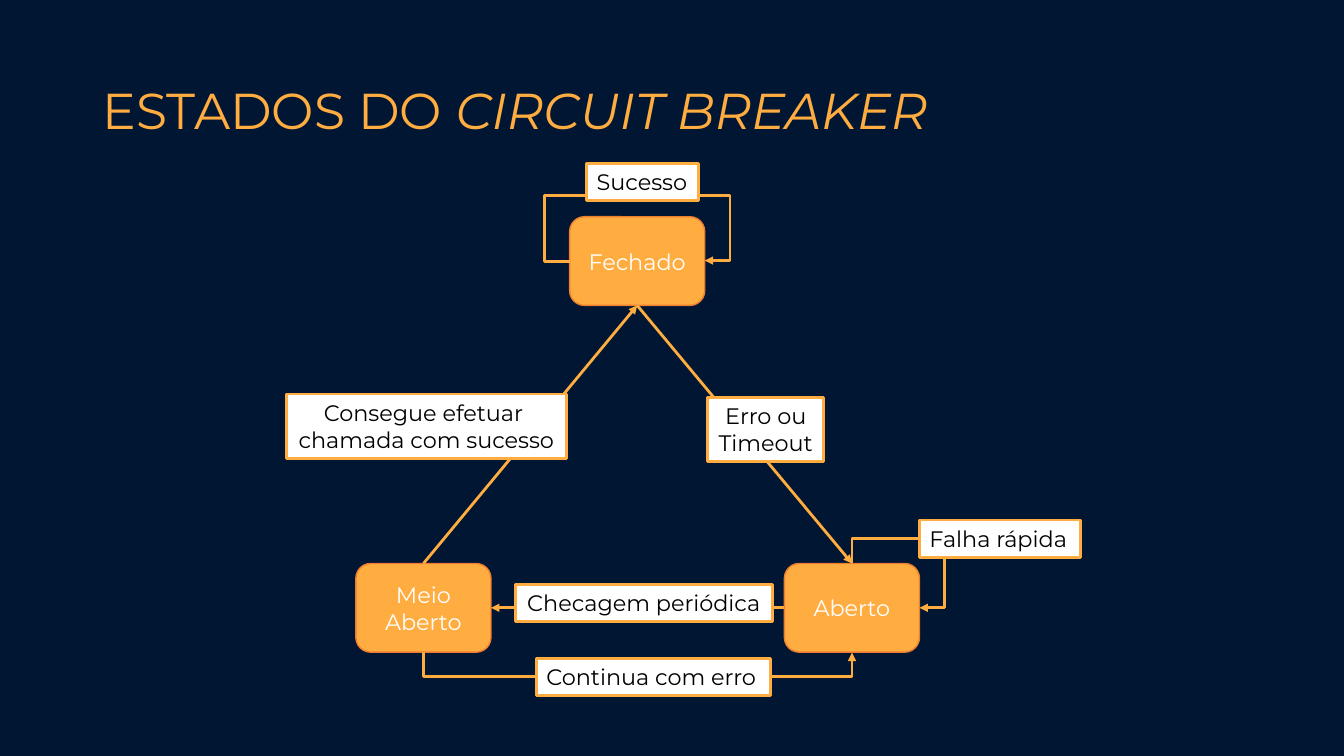
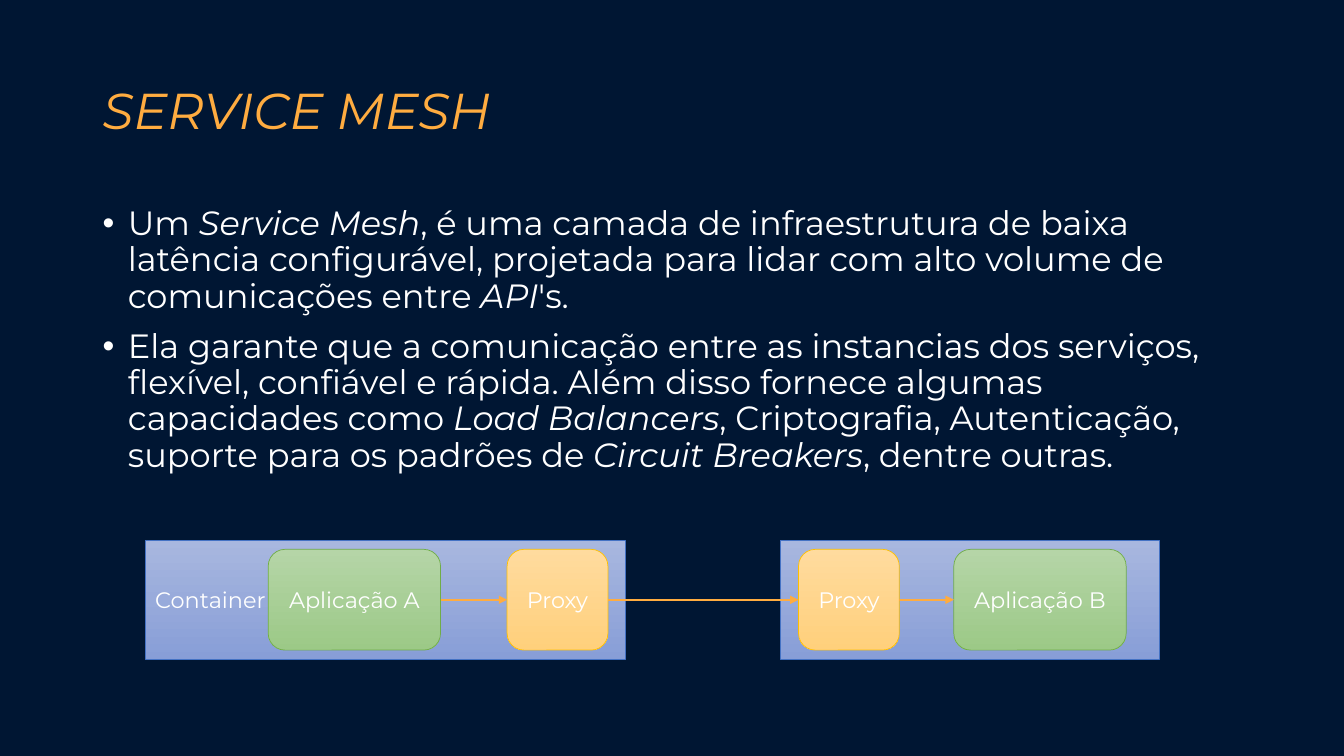
from lxml import etree
from pptx import Presentation
from pptx.dml.color import RGBColor
from pptx.enum.shapes import MSO_CONNECTOR, MSO_SHAPE
from pptx.enum.text import MSO_ANCHOR, MSO_AUTO_SIZE, PP_ALIGN
from pptx.oxml.ns import qn
from pptx.util import Pt

PX = 9144  # 100 px to the inch
FONT = "Montserrat"
COLORS = {
    "back": "001633", "amber": "FFAC40", "rust": "ED7D31",
    "white": "FFFFFF", "black": "000000",
}
# top of gradient, foot of gradient, outline
TINTS = {
    "blue": ("A8B7DF", "889ED7", "4472C4"),
    "green": ("B5D5A7", "9CC987", "70AD47"),
    "gold": ("FFDB9E", "FFD07C", "FFC000"),
}
TOP, LEFT, BOTTOM, RIGHT = range(4)  # connection sites of a box


def rgb(code):
    return RGBColor.from_string(code)


def place(left, top, width, height):
    return [side * PX for side in (left, top, width, height)]


def style(par, size, color):
    for run in par.runs:
        run.font.name = FONT
        run.font.size = Pt(size)
        run.font.color.rgb = rgb(COLORS[color])


def mark(par, text):
    """Write text in which asterisks enclose the italic parts."""
    for i, part in enumerate(text.split("*")):
        if part:
            run = par.add_run()
            run.text = part
            run.font.italic = i % 2 == 1


def edge(shape, code, width):
    shape.line.color.rgb = rgb(code)
    shape.line.width = Pt(width)


def add_slide(deck, title):
    slide = deck.slides.add_slide(deck.slide_layouts[6])
    slide.background.fill.solid()
    slide.background.fill.fore_color.rgb = rgb(COLORS["back"])
    frame = slide.shapes.add_textbox(*place(92, 40, 1150, 145)).text_frame
    frame.word_wrap = True
    frame.vertical_anchor = MSO_ANCHOR.MIDDLE
    par = frame.paragraphs[0]
    par.line_spacing = 0.9
    mark(par, title)
    style(par, 36, "amber")
    return slide


def add_list(slide, box, items):
    frame = slide.shapes.add_textbox(*place(*box)).text_frame
    frame.word_wrap = True
    for i, item in enumerate(items):
        par = frame.add_paragraph() if i else frame.paragraphs[0]
        mark(par, item)
        style(par, 24, "white")
        par.line_spacing = 0.9
        par.space_before = Pt(10)
        props = par._p.get_or_add_pPr()
        props.set("marL", str(25 * PX))
        props.set("indent", str(-25 * PX))
        etree.SubElement(props, qn("a:buFont"), typeface="Arial")
        etree.SubElement(props, qn("a:buChar"), char="•")


def add_box(slide, kind, box, text, align=PP_ALIGN.CENTER):
    shape = slide.shapes.add_shape(kind, *place(*box))
    shape.shadow.inherit = False
    frame = shape.text_frame
    frame.vertical_anchor = MSO_ANCHOR.MIDDLE
    if text:
        frame.text = text
        frame.paragraphs[0].alignment = align
        style(frame.paragraphs[0], 16, "white")
    return shape


def add_state(slide, left, top, text):
    box = (left, top, 134, 88)
    shape = add_box(slide, MSO_SHAPE.ROUNDED_RECTANGLE, box, text)
    shape.fill.solid()
    shape.fill.fore_color.rgb = rgb(COLORS["amber"])
    edge(shape, COLORS["rust"], 1)
    return shape


def add_tint(slide, kind, box, tint, text="", align=PP_ALIGN.CENTER):
    """Add a box with a gradient that runs from top to foot."""
    shape = add_box(slide, kind, box, text, align)
    *ends, line = TINTS[tint]
    shape.fill.gradient()
    shape.fill.gradient_angle = 270
    for stop, code in zip(shape.fill.gradient_stops, ends):
        stop.color.rgb = rgb(code)
    edge(shape, line, 0.5)
    return shape


def add_label(slide, box, text, align=PP_ALIGN.CENTER):
    shape = slide.shapes.add_textbox(*place(*box))
    shape.fill.solid()
    shape.fill.fore_color.rgb = rgb(COLORS["white"])
    edge(shape, COLORS["amber"], 2)
    frame = shape.text_frame
    frame.text = text
    frame.word_wrap = False
    frame.auto_size = MSO_AUTO_SIZE.SHAPE_TO_FIT_TEXT
    for par in frame.paragraphs:
        par.alignment = align
        style(par, 16, "black")


def add_arrow(slide, start, exit, end, entry, width=2,
              kind=MSO_CONNECTOR.STRAIGHT):
    link = slide.shapes.add_connector(kind, 0, 0, 0, 0)
    link.begin_connect(start, exit)
    link.end_connect(end, entry)
    edge(link, COLORS["amber"], width)
    etree.SubElement(link.line._get_or_add_ln(), qn("a:tailEnd"), type="triangle")
    etree.SubElement(link._element.spPr, qn("a:effectLst"))
    return link


def add_bend(slide, start, exit, end, entry, turn, bends):
    """Add a mirrored elbow arrow; bends are px from its start, by turns along and across."""
    link = add_arrow(slide, start, exit, end, entry, kind=MSO_CONNECTOR.ELBOW)
    mid_x = link.left + link.width // 2
    mid_y = link.top + link.height // 2
    sides = [max(link.width, PX), max(link.height, PX)]
    if turn == 270:
        sides.reverse()
    link.width, link.height = sides
    link.left, link.top = mid_x - sides[0] // 2, mid_y - sides[1] // 2
    props = link._element.spPr
    frame = props.find(qn("a:xfrm"))
    frame.attrib.pop("flipV", None)
    frame.set("flipH", "1")
    frame.set("rot", str(turn * 60000))
    shape = props.find(qn("a:prstGeom"))
    shape.set("prst", f"bentConnector{len(bends) + 2}")
    guides = shape.find(qn("a:avLst"))
    for i, bend in enumerate(bends):
        ratio = round(bend * PX * 100000 / sides[i % 2])
        etree.SubElement(guides, qn("a:gd"), name=f"adj{i + 1}" if len(bends) > 1 else "adj1",
                         fmla=f"val {ratio}")


def draw_states(deck):
    slide = add_slide(deck, "ESTADOS DO *CIRCUIT BREAKER*")
    opened = add_state(slide, 778, 559, "Aberto")
    half = add_state(slide, 353, 559, "Meio Aberto")
    closed = add_state(slide, 565, 215, "Fechado")

    add_arrow(slide, closed, BOTTOM, opened, TOP)
    add_arrow(slide, opened, LEFT, half, RIGHT)
    add_arrow(slide, half, TOP, closed, BOTTOM)
    add_bend(slide, closed, LEFT, closed, RIGHT, 180, [-25, 67, 159])
    add_bend(slide, half, BOTTOM, opened, BOTTOM, 270, [25])
    add_bend(slide, opened, TOP, opened, RIGHT, 270, [-25, 92])

    add_label(slide, (532, 653, 232, 37), "Continua com erro", PP_ALIGN.LEFT)
    add_label(slide, (582, 162, 111, 37), "Sucesso", PP_ALIGN.LEFT)
    add_label(slide, (912, 516, 160, 37), "Falha rápida", PP_ALIGN.LEFT)
    add_label(slide, (511, 580, 255, 37), "Checagem periódica")
    add_label(slide, (284, 391, 278, 64), "Consegue efetuar \nchamada com sucesso")
    add_label(slide, (702, 394, 115, 64), "Erro ou\nTimeout")


def draw_mesh(deck):
    slide = add_slide(deck, "*SERVICE MESH*")
    add_list(slide, (92, 200, 1150, 476), [
        "Um *Service Mesh*, é uma camada de infraestrutura de baixa latência "
        "configurável, projetada para lidar com alto volume de comunicações "
        "entre *API*'s.",
        "Ela garante que a comunicação entre as instancias dos serviços, "
        "flexível, confiável e rápida. Além disso fornece algumas capacidades "
        "como *Load Balancers*, Criptografia, Autenticação, suporte para os "
        "padrões de *Circuit Breakers*, dentre outras.",
    ])
    for left, width, text in ((144, 476, "Container"), (774, 376, "")):
        add_tint(slide, MSO_SHAPE.RECTANGLE, (left, 536, width, 118), "blue",
                 text, PP_ALIGN.LEFT)
    chain = [
        add_tint(slide, MSO_SHAPE.ROUNDED_RECTANGLE, (left, 545, width, 100), tint, text)
        for left, width, tint, text in (
            (266, 171, "green", "Aplicação A"),
            (503, 100, "gold", "Proxy"),
            (792, 100, "gold", "Proxy"),
            (946, 171, "green", "Aplicação B"),
        )
    ]
    for start, end in zip(chain, chain[1:]):
        add_arrow(slide, start, RIGHT, end, LEFT, 1.5)


def main():
    deck = Presentation()
    deck.slide_width, deck.slide_height = 1333 * PX, 750 * PX
    draw_states(deck)
    draw_mesh(deck)
    deck.save("out.pptx")


if __name__ == "__main__":
    main()
